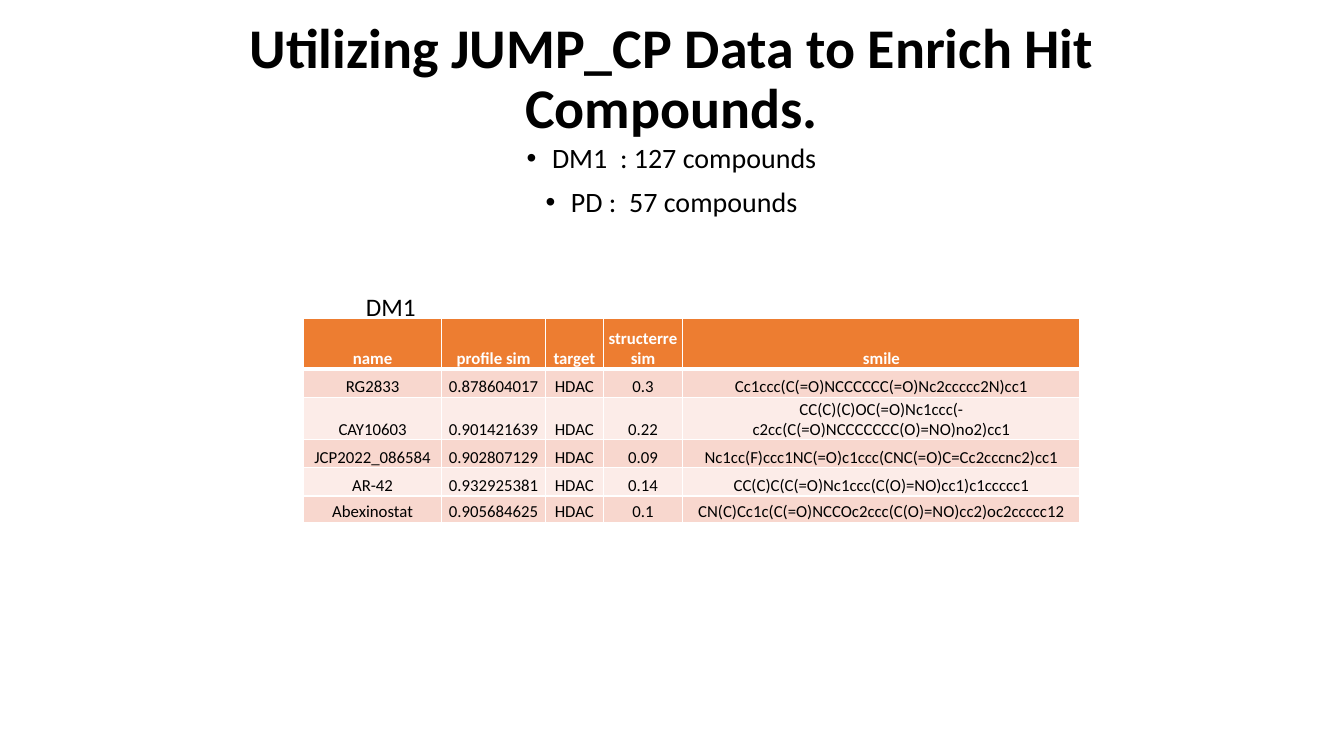
from dataclasses import dataclass

from lxml.etree import SubElement
from pptx import Presentation
from pptx.dml.color import RGBColor
from pptx.enum.text import MSO_ANCHOR as Anchor, PP_ALIGN as Align
from pptx.oxml.ns import qn
from pptx.slide import Slide
from pptx.table import _Cell as Cell
from pptx.text.text import TextFrame, _Paragraph as Paragraph
from pptx.util import Cm, Pt


@dataclass(frozen=True)
class Theme:
    font: str = "Calibri"
    ink: str = "000000"
    white: str = "FFFFFF"
    header: str = "ED7D31"
    odd_band: str = "F8D7CE"
    even_band: str = "FCECE8"
    title_size: int = 40
    count_size: int = 20
    label_size: int = 18
    cell_size: int = 12
    rule: int = 1
    header_rule: int = 3


@dataclass(frozen=True)
class Box:
    left: float
    top: float
    width: float
    height: float


@dataclass(frozen=True)
class Compound:
    name: str
    profile_sim: str
    target: str
    structure_sim: str
    smile: str
    height: float

    def values(self) -> tuple[str, ...]:
        return self.name, self.profile_sim, self.target, self.structure_sim, self.smile


THEME = Theme()
TITLE_BOX = Box(2.79, 0.48, 28.27, 3.1)
COUNTS_BOX = Box(2.79, 4.06, 28.27, 2.13)
LABEL_BOX = Box(8.97, 7.21, 16.94, 1.02)
TABLE_BOX = Box(7.65, 8.03, 19.57, 5.13)
COLUMN_WIDTHS = (3.48, 2.62, 1.45, 2.01, 10.01)
COUNTS = ("DM1  : 127 compounds", "PD :  57 compounds")
ROWS = (
    Compound("name", "profile sim", "target", "structerre sim", "smile", 1.27),
    Compound("RG2833", "0.878604017", "HDAC", "0.3",
             "Cc1ccc(C(=O)NCCCCCC(=O)Nc2ccccc2N)cc1", 0.71),
    Compound("CAY10603", "0.901421639", "HDAC", "0.22",
             "CC(C)(C)OC(=O)Nc1ccc(-c2cc(C(=O)NCCCCCCC(O)=NO)no2)cc1", 0.58),
    Compound("JCP2022_086584", "0.902807129", "HDAC", "0.09",
             "Nc1cc(F)ccc1NC(=O)c1ccc(CNC(=O)C=Cc2cccnc2)cc1", 0.71),
    Compound("AR-42", "0.932925381", "HDAC", "0.14",
             "CC(C)C(C(=O)Nc1ccc(C(O)=NO)cc1)c1ccccc1", 0.71),
    Compound("Abexinostat", "0.905684625", "HDAC", "0.1",
             "CN(C)Cc1c(C(=O)NCCOc2ccc(C(O)=NO)cc2)oc2ccccc12", 0.66),
)


def add_run(paragraph: Paragraph, text: str, size: int,
            color: str = THEME.ink, bold: bool = False) -> None:
    run = paragraph.add_run()
    run.text = text
    run.font.name = THEME.font
    run.font.size = Pt(size)
    run.font.bold = bold
    run.font.color.rgb = RGBColor.from_string(color)


def add_text_frame(slide: Slide, box: Box, anchor: Anchor) -> TextFrame:
    frame = slide.shapes.add_textbox(
        Cm(box.left), Cm(box.top), Cm(box.width), Cm(box.height)).text_frame
    frame.word_wrap = True
    frame.vertical_anchor = anchor
    return frame


def add_title(slide: Slide) -> None:
    title = add_text_frame(slide, TITLE_BOX, Anchor.MIDDLE).paragraphs[0]
    title.alignment = Align.CENTER
    title.line_spacing = 0.9
    add_run(title, "Utilizing JUMP_CP Data to Enrich Hit Compounds.",
            THEME.title_size, bold=True)


def add_counts(slide: Slide) -> None:
    frame = add_text_frame(slide, COUNTS_BOX, Anchor.MIDDLE)
    frame.margin_bottom = Cm(1.24)
    for index, text in enumerate(COUNTS):
        count = frame.add_paragraph() if index else frame.paragraphs[0]
        count.alignment = Align.CENTER
        count.line_spacing = 0.9
        count.space_before = Pt(10)
        properties = count._p.get_or_add_pPr()
        properties.set("marL", str(Cm(0.64)))
        properties.set("indent", str(-Cm(0.64)))
        SubElement(properties, qn("a:buFont"), typeface="Arial")
        SubElement(properties, qn("a:buChar"), char="•")
        add_run(count, text, THEME.count_size)


def add_border(cell: Cell, side: str, width: int) -> None:
    line = SubElement(cell._tc.get_or_add_tcPr(), qn(f"a:ln{side}"), w=str(Pt(width)))
    fill = SubElement(line, qn("a:solidFill"))
    SubElement(fill, qn("a:srgbClr"), val=THEME.white)


def fill_cell(cell: Cell, text: str, row: int) -> None:
    is_header = row == 0
    cell.margin_left = cell.margin_right = cell.margin_top = Cm(0.05)
    cell.margin_bottom = Cm(0)
    cell.vertical_anchor = Anchor.BOTTOM
    thick_side = {0: "B", 1: "T"}.get(row)
    for side in "LRTB":
        add_border(cell, side, THEME.header_rule if side == thick_side else THEME.rule)
    band = THEME.odd_band if row % 2 else THEME.even_band
    cell.fill.solid()
    cell.fill.fore_color.rgb = RGBColor.from_string(THEME.header if is_header else band)
    paragraph = cell.text_frame.paragraphs[0]
    paragraph.alignment = Align.CENTER
    add_run(paragraph, text, THEME.cell_size,
            THEME.white if is_header else THEME.ink, is_header)


def add_compounds(slide: Slide) -> None:
    compounds = slide.shapes.add_table(
        len(ROWS), len(COLUMN_WIDTHS), Cm(TABLE_BOX.left), Cm(TABLE_BOX.top),
        Cm(TABLE_BOX.width), Cm(TABLE_BOX.height)).table
    compounds.horz_banding = False
    for column, width in zip(compounds.columns, COLUMN_WIDTHS):
        column.width = Cm(width)
    for row, compound in enumerate(ROWS):
        compounds.rows[row].height = Cm(compound.height)
        for column, value in enumerate(compound.values()):
            fill_cell(compounds.cell(row, column), value, row)


def main() -> None:
    deck = Presentation()
    deck.slide_width, deck.slide_height = Cm(33.87), Cm(19.05)
    slide = deck.slides.add_slide(deck.slide_layouts[6])
    add_title(slide)
    add_counts(slide)
    add_compounds(slide)
    label = add_text_frame(slide, LABEL_BOX, Anchor.TOP).paragraphs[0]
    add_run(label, "DM1", THEME.label_size)
    deck.save("out.pptx")


if __name__ == "__main__":
    main()
